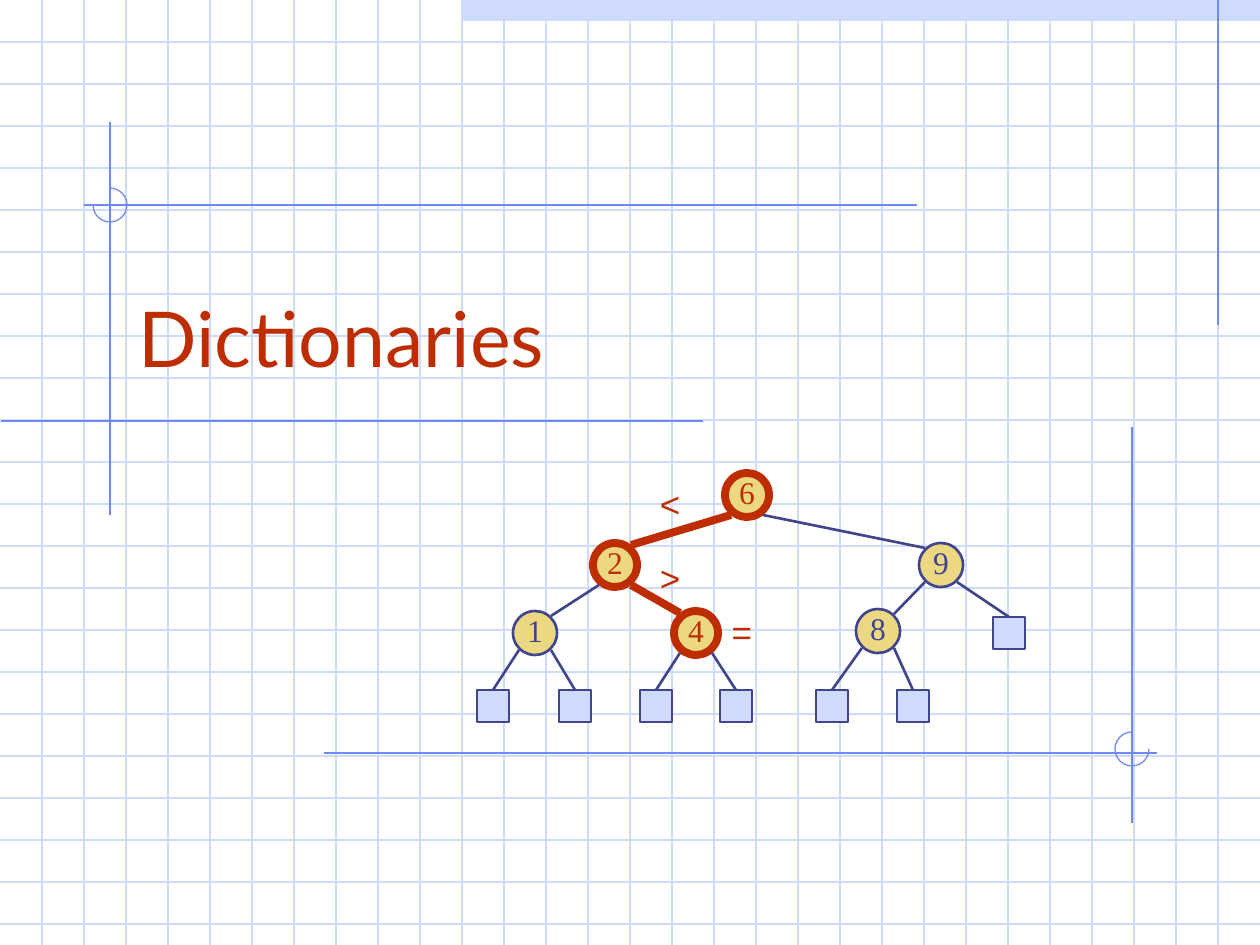
from lxml.etree import SubElement
from pptx import Presentation
from pptx.dml.color import RGBColor
from pptx.enum.shapes import MSO_CONNECTOR, MSO_SHAPE
from pptx.enum.text import MSO_ANCHOR, PP_ALIGN
from pptx.oxml.ns import qn
from pptx.util import Emu, Pt

WIDTH, HEIGHT, CELL = 1260, 945, 42
PALE, BLUE, NAVY, RED, GOLD = "CFDBFD", "6F89F7", "40458C", "BE2D00", "ECD882"
NODE, LEAF = 44, 32

NODES = {
    "6": (269, 23, True),
    "9": (463, 93, False),
    "2": (137, 93, True),
    "4": (218, 161, True),
    "1": (57, 161, False),
    "8": (400, 159, False),
}
EDGES = [("6", "2"), ("6", "9"), ("2", "1"), ("2", "4"), ("9", "8")]
LEAVES = [
    ("1", 15, 234), ("1", 97, 234), ("4", 178, 234), ("4", 258, 234),
    ("8", 354, 234), ("8", 435, 234), ("9", 531, 161),
]
SIGNS = [("<", 192, 32, 46), (">", 192, 106, 46), ("=", 264, 160, 53)]


def px(length):
    """Turn px into EMU."""
    return Emu(round(length * 914400 / 126))


def color(hex_code):
    """Turn a hex string into a colour."""
    return RGBColor.from_string(hex_code)


def add_line(page, start, end, hex_code, weight=0.75):
    """Draw a straight line without a shadow."""
    line = page.shapes.add_connector(
        MSO_CONNECTOR.STRAIGHT, *(px(value) for value in (*start, *end))
    )
    line.line.color.rgb = color(hex_code)
    line.line.width = Pt(weight)
    SubElement(line._element.spPr, qn("a:effectLst"))
    return line


def add_figure(page, kind, box, fill=None, outline=None, weight=0.75):
    """Draw a preset shape with an optional fill and outline."""
    figure = page.shapes.add_shape(kind, *(px(value) for value in box))
    figure.shadow.inherit = False
    if fill:
        figure.fill.solid()
        figure.fill.fore_color.rgb = color(fill)
    else:
        figure.fill.background()
    if outline:
        figure.line.color.rgb = color(outline)
        figure.line.width = Pt(weight)
    else:
        figure.line.fill.background()
    return figure


def write(shape, text, font, size, hex_code, align=PP_ALIGN.CENTER):
    """Put one formatted line of text into a shape."""
    shape.text_frame.text = text
    para = shape.text_frame.paragraphs[0]
    para.alignment = align
    span = para.runs[0]
    span.font.name = font
    span.font.size = Pt(size)
    span.font.color.rgb = color(hex_code)


def draw_grid(page, box):
    """Draw the top bar, the squared paper and the right margin line."""
    left, top, width, height = box
    right, bottom = left + width, top + height
    add_figure(page, MSO_SHAPE.RECTANGLE, (left + 11 * CELL, top, width - 11 * CELL, CELL // 2), PALE)
    for y in range(top + CELL, bottom, CELL):
        add_line(page, (left, y), (right, y), PALE)
    for x in range(left + CELL, right, CELL):
        add_line(page, (x, top), (x, bottom), PALE)
    add_line(page, (right - CELL, top), (right - CELL, top + 325), BLUE)


def draw_crosshair(page, box, cross, arc_y, angles):
    """Draw two crossing lines and a three-quarter circle in a box."""
    left, top, width, height = box
    x, y = left + cross[0], top + cross[1]
    add_line(page, (x, top), (x, top + height), BLUE)
    add_line(page, (left, y), (left + width, y), BLUE)
    arc = add_figure(page, MSO_SHAPE.ARC, (x - 17, top + arc_y - 17, 34, 34), outline=BLUE)
    for index, degrees in enumerate(angles):
        arc.adjustments[index] = degrees * 0.6


def draw_title(page, box):
    """Write the title at the bottom of its box, above its rule."""
    left, top, width, height = box
    title = page.shapes.add_textbox(*(px(value) for value in box))
    title.text_frame.word_wrap = True
    title.text_frame.vertical_anchor = MSO_ANCHOR.BOTTOM
    write(title, "Dictionaries", "Lato", 44, RED, PP_ALIGN.LEFT)
    rule_y = top + height + 32
    add_line(page, (left - 125, rule_y), (left + 577, rule_y), BLUE)


def draw_node(page, center, label, on_route):
    """Draw a labelled tree node around its centre."""
    x, y = center
    ink, weight = (RED, 4.5) if on_route else (NAVY, 1.5)
    node_box = (x - NODE / 2, y - NODE / 2, NODE, NODE)
    node = add_figure(page, MSO_SHAPE.OVAL, node_box, GOLD, ink, weight)
    frame = node.text_frame
    frame.word_wrap = False
    frame.vertical_anchor = MSO_ANCHOR.MIDDLE
    frame.margin_left = frame.margin_right = frame.margin_top = 0
    frame.margin_bottom = px(6)
    write(node, label, "Times New Roman", 18, ink)


def rim_point(center, on_route, toward_x, down):
    """Find where an edge meets a node on the side of its neighbour."""
    x, y = center
    reach = 20 if on_route else 17
    return x + (16 if toward_x > x else -16), y + (reach if down else -reach)


def draw_tree(page, box):
    """Draw the search tree with its highlighted route and signs."""
    left, top, _, _ = box
    centers = {label: (left + x, top + y) for label, (x, y, _) in NODES.items()}
    routes = {label: on_route for label, (_, _, on_route) in NODES.items()}
    for label, center in centers.items():
        draw_node(page, center, label, routes[label])
    for parent, child in EDGES:
        start = rim_point(centers[parent], routes[parent], centers[child][0], True)
        end = rim_point(centers[child], routes[child], centers[parent][0], False)
        ink, weight = (RED, 4.5) if routes[parent] and routes[child] else (NAVY, 1.5)
        add_line(page, start, end, ink, weight)
    for parent, x, y in LEAVES:
        x, y = left + x, top + y
        leaf_box = (x - LEAF / 2, y - LEAF / 2, LEAF, LEAF)
        leaf = add_figure(page, MSO_SHAPE.RECTANGLE, leaf_box, PALE, NAVY, 1.5)
        start = rim_point(centers[parent], routes[parent], x, True)
        edge = add_line(page, start, (x, y - LEAF / 2), NAVY, 1.5)
        edge.end_connect(leaf, 0)
    for sign, x, y, width in SIGNS:
        sign_box = (left + x - width / 2, top + y - 28, width, 55)
        label = page.shapes.add_textbox(*(px(value) for value in sign_box))
        label.text_frame.word_wrap = False
        write(label, sign, "Arial", 20, RED)


def main():
    """Build the slide and save it."""
    deck = Presentation()
    deck.slide_width, deck.slide_height = px(WIDTH), px(HEIGHT)
    page = deck.slides.add_slide(deck.slide_layouts[6])
    draw_grid(page, (0, 0, WIDTH, HEIGHT))
    draw_crosshair(page, (84, 122, 833, 393), (26, 83), 83, (270, 180))
    draw_crosshair(page, (324, 427, 833, 396), (808, 326), 322, (0, 270))
    draw_title(page, (126, 231, 1071, 158))
    draw_tree(page, (478, 472, 547, 250))
    deck.save("out.pptx")


if __name__ == "__main__":
    main()
